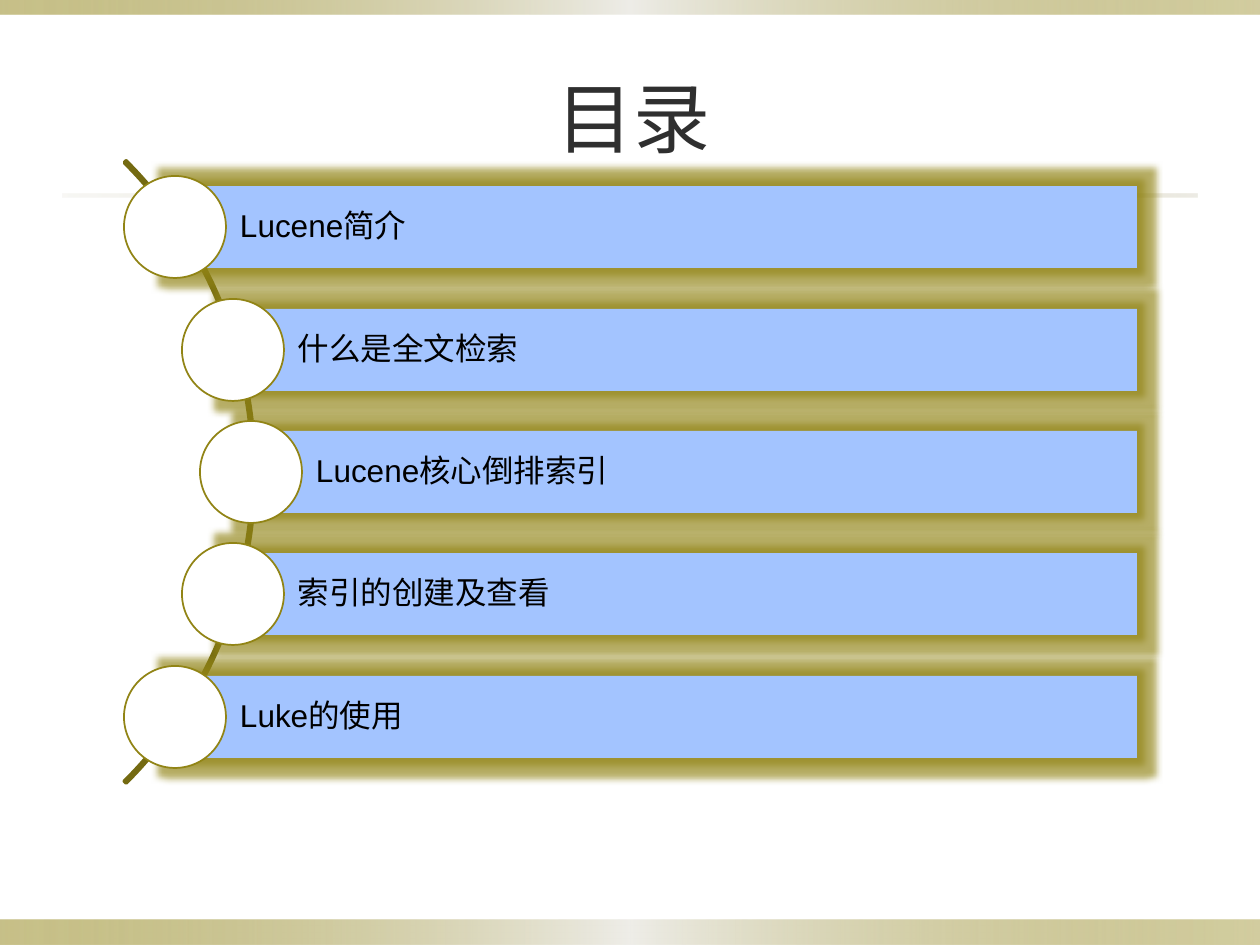
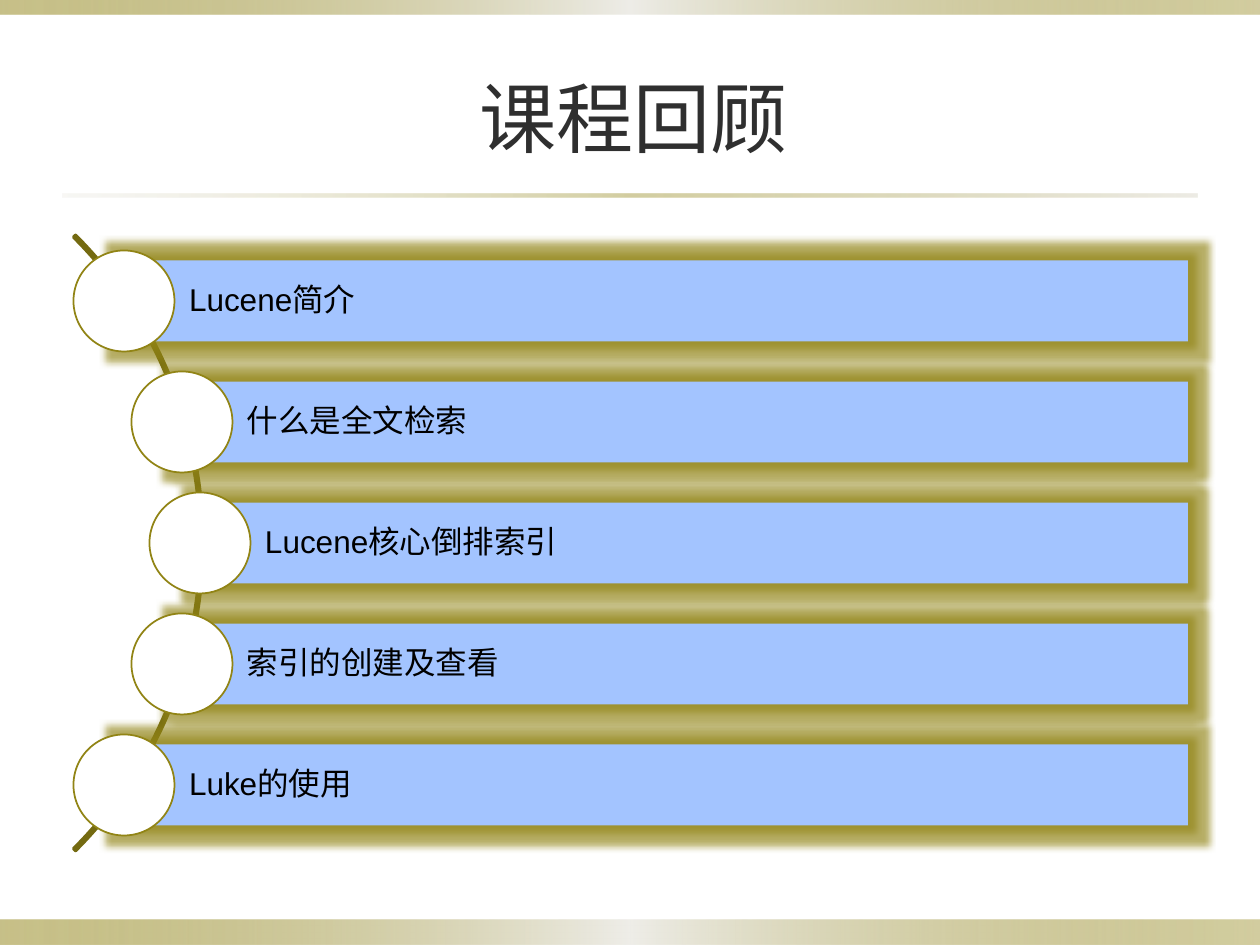
from lxml.etree import SubElement
from pptx import Presentation
from pptx.dml.color import RGBColor
from pptx.enum.shapes import MSO_SHAPE
from pptx.enum.text import MSO_ANCHOR, PP_ALIGN
from pptx.oxml import parse_xml
from pptx.oxml.ns import nsdecls, qn
from pptx.util import Pt

PX = 914400 / 126
WHITE = RGBColor(0xFF, 0xFF, 0xFF)
BLACK = RGBColor(0, 0, 0)
INK = RGBColor(0x2F, 0x2F, 0x2F)
BLUE = RGBColor(0xA3, 0xC4, 0xFF)
OLIVE = RGBColor(0x91, 0x84, 0x15)
DARK = RGBColor(0x74, 0x6A, 0x11)
PALE = RGBColor(0xEE, 0xED, 0xE8)
SAND = RGBColor(0xDC, 0xD9, 0xCC)

# Gradient stops: position, colour, opacity, all but the colour in percent
BAND = [(0, OLIVE, 50), (50, PALE, 100), (100, OLIVE, 40)]
RULE = [(0, SAND, 20), (50, OLIVE, 40), (100, SAND, 50)]
FRAME = [
    ((0, 920, 1260, 25), BAND),
    ((0, 0, 1260, 15), BAND),
    ((63, 194, 1134, 3), RULE),
]

TOPICS = ["Lucene简介", "什么是全文检索", "Lucene核心倒排索引", "索引的创建及查看", "Luke的使用"]
SHIFTS = [0, 58, 76, 58, 0]
# first and last: row centres; left: centre of the outer circles; right: end of the bars
PAGES = [
    dict(title="目录", first=227, last=717, left=175, right=1137, arc=(-625, 880)),
    dict(title="课程回顾", first=301, last=785, left=124, right=1188, arc=(-667, 870)),
]


def draw(slide, kind, box, fill=None, line=None, width=1):
    """Add a preset shape without shadow; box is left, top, width, height in px."""
    shape = slide.shapes.add_shape(kind, *[round(n * PX) for n in box])
    shape.shadow.inherit = False
    if fill is not None:
        shape.fill.solid()
        shape.fill.fore_color.rgb = fill
    if line is None:
        shape.line.fill.background()
    else:
        shape.line.color.rgb = line
        shape.line.width = Pt(width)
    return shape


def write(shape, text, font, size, color, align, inset):
    frame = shape.text_frame
    looks = dict(word_wrap=True, vertical_anchor=MSO_ANCHOR.MIDDLE,
                 margin_left=round(inset * PX), margin_right=round(6 * PX),
                 margin_top=round(6 * PX), margin_bottom=round(6 * PX))
    for name, value in looks.items():
        setattr(frame, name, value)
    para = frame.paragraphs[0]
    para.alignment = align
    run = para.add_run()
    run.text = text
    for name, value in dict(name=font, size=Pt(size)).items():
        setattr(run.font, name, value)
    run.font.color.rgb = color
    return para


deck = Presentation()
deck.slide_width = round(1260 * PX)
deck.slide_height = round(945 * PX)

for page in PAGES:
    slide = deck.slides.add_slide(deck.slide_layouts[6])

    for box, stops in FRAME:
        strip = draw(slide, MSO_SHAPE.RECTANGLE, box)
        marks = "".join(
            f'<a:gs pos="{pos * 1000}"><a:srgbClr val="{color}">'
            f'<a:alpha val="{alpha * 1000}"/></a:srgbClr></a:gs>'
            for pos, color, alpha in stops)
        grad = parse_xml(f'<a:gradFill {nsdecls("a")} rotWithShape="1"><a:gsLst>{marks}</a:gsLst>'
                         '<a:lin ang="0" scaled="0"/></a:gradFill>')
        strip.element.spPr.find(qn("a:prstGeom")).addnext(grad)

    title = slide.shapes.add_textbox(*[round(n * PX) for n in (63, 38, 1134, 157)])
    write(title, page["title"], "Karla", 44, INK, PP_ALIGN.CENTER, 13)

    first, last = page["first"], page["last"]
    left, size = page["arc"]
    arc = draw(slide, MSO_SHAPE.BLOCK_ARC,
               (left, (first + last - size) / 2, size, size), DARK, DARK, 2)
    for i, value in enumerate((189, 27, 0.003)):
        arc.adjustments[i] = value

    pitch = (last - first) / (len(TOPICS) - 1)
    tall = round(pitch * 2 / 3)
    disc = round(pitch * 5 / 6)
    for i, (topic, shift) in enumerate(zip(TOPICS, SHIFTS)):
        x = page["left"] + shift
        y = round(first + i * pitch)
        bar = draw(slide, MSO_SHAPE.RECTANGLE,
                   (x, y - tall / 2, page["right"] - x, tall), BLUE)
        effects = bar.element.spPr.find(qn("a:effectLst"))
        glow = SubElement(effects, qn("a:glow"), rad=str(round(14 * PX)))
        tint = SubElement(glow, qn("a:srgbClr"), val=str(OLIVE))
        SubElement(tint, qn("a:alpha"), val="65000")
        para = write(bar, topic, "Arial", 18, BLACK, PP_ALIGN.LEFT, 65)
        para.line_spacing = 0.9
        draw(slide, MSO_SHAPE.OVAL, (x - disc / 2, y - disc / 2, disc, disc), WHITE, OLIVE)

deck.save("out.pptx")
